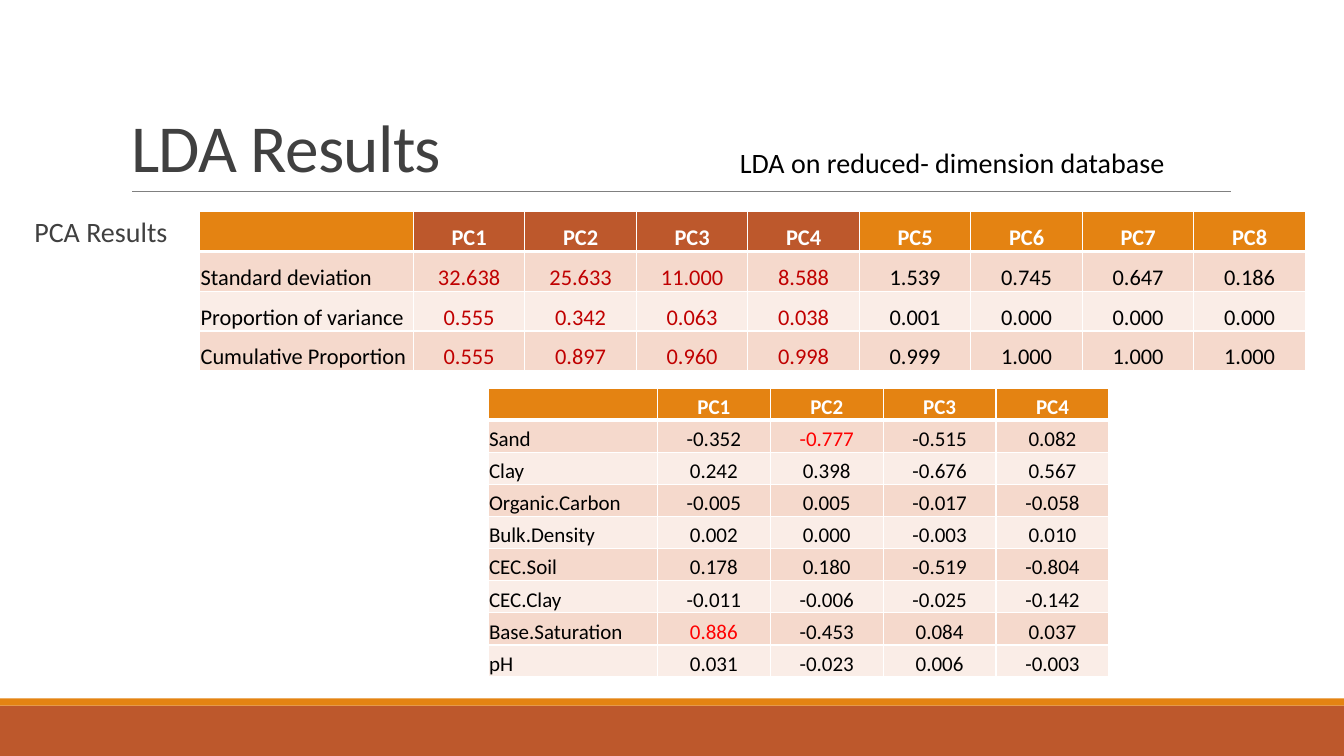
import pptx
import pptx.dml.color
import pptx.enum.shapes
import pptx.enum.text
import pptx.oxml
import pptx.oxml.ns
import pptx.util

Inches, Pt = pptx.util.Inches, pptx.util.Pt
RGBColor = pptx.dml.color.RGBColor
ALIGN, ANCHOR = pptx.enum.text.PP_ALIGN, pptx.enum.text.MSO_ANCHOR

WHITE = RGBColor(0xFF, 0xFF, 0xFF)
BLACK = RGBColor(0, 0, 0)
DARK = RGBColor(0x40, 0x40, 0x40)
GRAY = RGBColor(0x80, 0x80, 0x80)
ORANGE = RGBColor(0xE4, 0x83, 0x12)
RUST = RGBColor(0xBD, 0x58, 0x2C)
BAND_DARK = RGBColor(0xF5, 0xD9, 0xCC)
BAND_LIGHT = RGBColor(0xFA, 0xED, 0xE7)
DEEP_RED = RGBColor(0xC0, 0, 0)
RED = RGBColor(0xFF, 0, 0)

VARIANCE = [
    ["", "PC1", "PC2", "PC3", "PC4", "PC5", "PC6", "PC7", "PC8"],
    ["Standard deviation", "32.638", "25.633", "11.000", "8.588", "1.539", "0.745", "0.647", "0.186"],
    ["Proportion of variance", "0.555", "0.342", "0.063", "0.038", "0.001", "0.000", "0.000", "0.000"],
    ["Cumulative Proportion", "0.555", "0.897", "0.960", "0.998", "0.999", "1.000", "1.000", "1.000"],
]
LOADINGS = [
    ["", "PC1", "PC2", "PC3", "PC4"],
    ["Sand", "-0.352", "-0.777", "-0.515", "0.082"],
    ["Clay", "0.242", "0.398", "-0.676", "0.567"],
    ["Organic.Carbon", "-0.005", "0.005", "-0.017", "-0.058"],
    ["Bulk.Density", "0.002", "0.000", "-0.003", "0.010"],
    ["CEC.Soil", "0.178", "0.180", "-0.519", "-0.804"],
    ["CEC.Clay", "-0.011", "-0.006", "-0.025", "-0.142"],
    ["Base.Saturation", "0.886", "-0.453", "0.084", "0.037"],
    ["pH", "0.031", "-0.023", "0.006", "-0.003"],
]
KEPT = {(r, c): DEEP_RED for r in range(1, 4) for c in range(1, 5)}
STRONGEST = {(1, 2): RED, (7, 1): RED}


def write(p, text, size, color, bold=False):
    """Add a formatted run to a paragraph and return it."""
    r = p.add_run()
    r.text = text
    for name, value in {"name": "Calibri", "size": Pt(size), "bold": bold}.items():
        setattr(r.font, name, value)
    r.font.color.rgb = color
    return r


def place(sp, x, y, w, h):
    """Move and size a shape, in inches."""
    for name, value in {"left": x, "top": y, "width": w, "height": h}.items():
        setattr(sp, name, Inches(value))


def add_footer(s, x, y, w, h):
    """Draw the two footer bars in the box."""
    strip = 0.07
    for top, height, color in [(y + strip, h - strip, RUST), (y, strip, ORANGE)]:
        sp = s.shapes.add_shape(pptx.enum.shapes.MSO_SHAPE.RECTANGLE,
                                Inches(x), Inches(top), Inches(w), Inches(height))
        sp.shadow.inherit = False
        sp.fill.solid()
        sp.fill.fore_color.rgb = color
        sp.line.fill.background()


def add_heading(s, x, y, w, h):
    """Fill the title, its rule and the note at the right of the box."""
    place(s.shapes.title, x, y, w, h)
    tf = s.shapes.title.text_frame
    tf.vertical_anchor = ANCHOR.BOTTOM
    p = tf.paragraphs[0]
    p.alignment, p.line_spacing = ALIGN.LEFT, 0.85
    r = write(p, "LDA Results", 48, DARK)
    r.font._element.set("spc", "-50")

    line = s.shapes.add_connector(pptx.enum.shapes.MSO_CONNECTOR.STRAIGHT, Inches(x + 0.11),
                                  Inches(y + h), Inches(x + w + 0.01), Inches(y + h))
    line.line.color.rgb = GRAY
    line.line.width = Pt(0.5)
    pptx.oxml.ns.qn("a:effectLst")
    line._element.spPr.append(pptx.oxml.parse_xml(
        f"<a:effectLst {pptx.oxml.ns.nsdecls('a')}/>"))

    note = s.shapes.add_textbox(Inches(x + 6.04), Inches(y + 1.08), Inches(4.5), Inches(0.44))
    note.text_frame.word_wrap = False
    note.text_frame.auto_size = pptx.enum.text.MSO_AUTO_SIZE.SHAPE_TO_FIT_TEXT
    write(note.text_frame.paragraphs[0], "LDA on reduced- dimension database", 20, BLACK)


def add_body(s, x, y, w, h):
    """Fill the body placeholder with the table caption."""
    body = s.placeholders[1]
    place(body, x, y, w, h)
    tf = body.text_frame
    tf.margin_left = tf.margin_right = 0
    p = tf.paragraphs[0]
    pPr = p._p.get_or_add_pPr()
    pPr.set("marL", str(Inches(0.1)))
    pPr.set("indent", "0")
    pPr.append(pptx.oxml.parse_xml(f"<a:buNone {pptx.oxml.ns.nsdecls('a')}/>"))
    for name, value in {"line_spacing": 0.9, "space_before": Pt(0), "space_after": Pt(2)}.items():
        setattr(p, name, value)
    write(p, "PCA Results", 20, DARK)


def add_borders(cell, top, bottom):
    """Give a cell white borders, with top and bottom widths in points."""
    tcPr = cell._tc.get_or_add_tcPr()
    for side, width in {"L": 1, "R": 1, "T": top, "B": bottom}.items():
        tcPr.append(pptx.oxml.parse_xml(
            f'<a:ln{side} {pptx.oxml.ns.nsdecls("a")} w="{Pt(width)}"><a:solidFill>'
            f'<a:srgbClr val="{WHITE}"/></a:solidFill></a:ln{side}>'))


def add_results(s, x, y, w, h, data, label_w, size, marked, rust_columns=()):
    """Build a banded table whose value columns share the width after the labels."""
    rows, cols = len(data), len(data[0])
    table = s.shapes.add_table(rows, cols, Inches(x), Inches(y), Inches(w), Inches(h)).table
    for i, column in enumerate(table.columns):
        column.width = Inches((w - label_w) / (cols - 1) if i else label_w)
    for i, row in enumerate(data):
        table.rows[i].height = Inches(h / rows)
        band = BAND_DARK if i % 2 else BAND_LIGHT
        for j, text in enumerate(row):
            cell = table.cell(i, j)
            add_borders(cell, 3 if i == 1 else 1, 1 if i else 3)
            cell.fill.solid()
            cell.fill.fore_color.rgb = band if i else RUST if j in rust_columns else ORANGE
            for side in ("left", "right", "top"):
                setattr(cell, f"margin_{side}", Inches(0.01))
            cell.margin_bottom = 0
            cell.vertical_anchor = ANCHOR.BOTTOM
            p = cell.text_frame.paragraphs[0]
            p.alignment = ALIGN.CENTER if j else ALIGN.LEFT
            if text:
                write(p, text, size, marked.get((i, j), BLACK) if i else WHITE, i == 0)


def main():
    """Build and save the slide."""
    prs = pptx.Presentation()
    prs.slide_width, prs.slide_height = Inches(13.33), Inches(7.5)
    s = prs.slides.add_slide(prs.slide_layouts[1])
    add_footer(s, 0, 6.93, 13.33, 0.57)
    add_heading(s, 1.2, 0.31, 11, 1.59)
    add_body(s, 0.24, 2.12, 11, 4.4)
    add_results(s, 1.98, 2.1, 10.97, 1.58, VARIANCE, 2.12, 16, KEPT, range(1, 5))
    add_results(s, 4.84, 3.85, 6.16, 2.87, LOADINGS, 1.68, 15, STRONGEST)
    prs.save("out.pptx")


if __name__ == "__main__":
    main()
